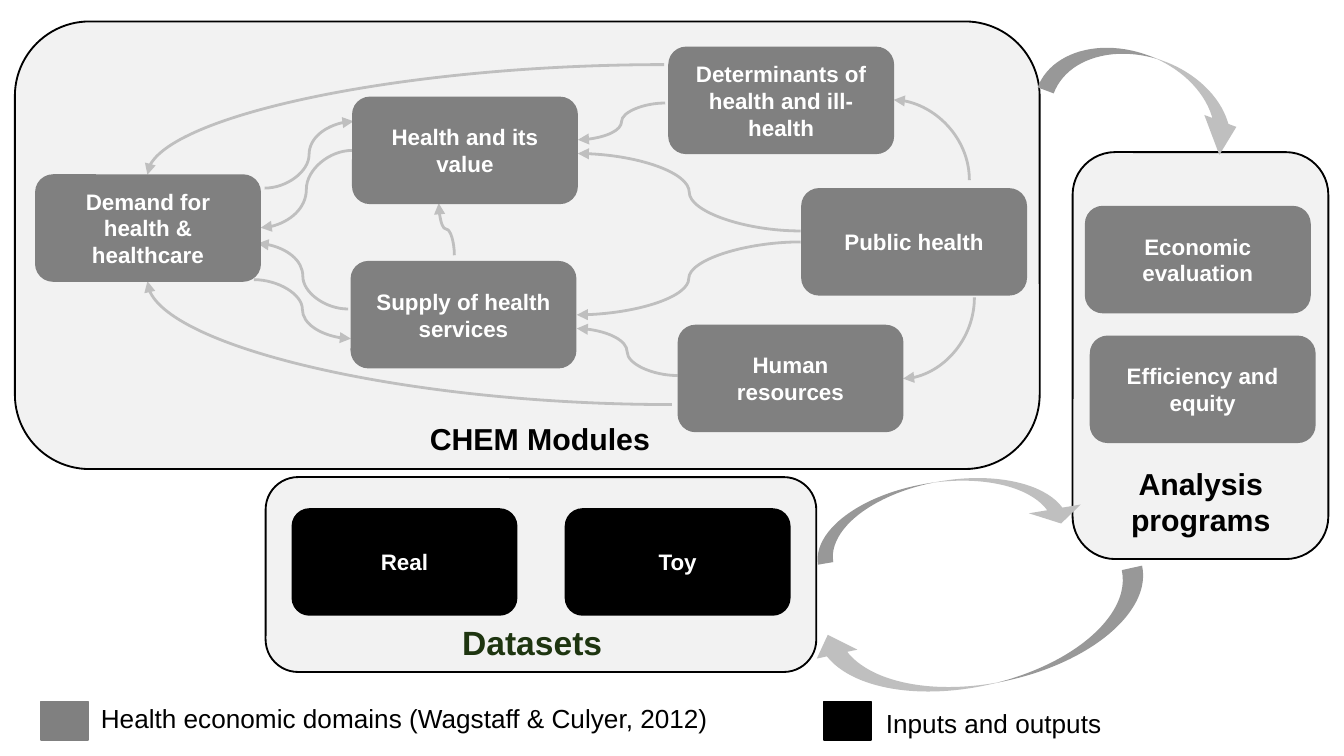
from pptx import Presentation
from pptx.dml.color import RGBColor as RGB
from pptx.enum.shapes import MSO_CONNECTOR as Conn, MSO_SHAPE as Geo
from pptx.enum.text import MSO_ANCHOR as Anchor, MSO_AUTO_SIZE as Fit, PP_ALIGN as Align
from pptx.oxml import parse_xml
from pptx.oxml.ns import nsdecls, qn
from pptx.util import Pt

COLORS = {
    "panel": "F2F2F2",
    "domain": "808080",
    "data": "000000",
    "link": "BFBFBF",
    "ink": "000000",
    "green": "1E3510",
    "white": "FFFFFF",
}


class Board:
    font = "Arial"
    card_w, card_h = 121, 57.6

    def __init__(self, slide):
        self.slide = slide
        self.shapes = slide.shapes

    def color(self, name):
        return RGB.from_string(COLORS[name])

    def shape(self, geo, box, fill, line=None):
        item = self.shapes.add_shape(geo, *map(Pt, box))
        item.shadow.inherit = False
        item.fill.solid()
        item.fill.fore_color.rgb = self.color(fill)
        if line:
            item.line.color.rgb = self.color(line)
            item.line.width = Pt(1)
        else:
            item.line.fill.background()
        return item

    def letter(self, frame, text, size, color, bold, align):
        frame.word_wrap = True
        frame.text = text
        para = frame.paragraphs[0]
        para.alignment = align
        font = para.runs[0].font
        font.name = self.font
        font.size = Pt(size)
        font.bold = bold
        font.color.rgb = self.color(color)

    def panel(self, *box):
        self.shape(Geo.ROUNDED_RECTANGLE, box, "panel", "ink")

    def card(self, text, left, top, fill):
        box = left, top, self.card_w, self.card_h
        item = self.shape(Geo.ROUNDED_RECTANGLE, box, fill)
        item.text_frame.vertical_anchor = Anchor.MIDDLE
        self.letter(item.text_frame, text, 12, "white", True, Align.CENTER)

    def label(self, text, box, size, color="ink", bold=True, align=Align.CENTER):
        item = self.shapes.add_textbox(*map(Pt, box))
        self.letter(item.text_frame, text, size, color, bold, align)
        item.text_frame.auto_size = Fit.SHAPE_TO_FIT_TEXT

    def swatch(self, left, fill):
        self.shape(Geo.RECTANGLE, (left, 375.8, 25.2, 20.9), fill, fill)

    def sweep(self, box, turn, bends):
        item = self.shape(Geo.CURVED_RIGHT_ARROW, box, "link")
        item.rotation = turn
        item._element.spPr.find(qn("a:xfrm")).set("flipH", "1")
        for spot, bend in enumerate(bends):
            item.adjustments[spot] = bend

    def link(self, x1, y1, x2, y2, bend=False, upright=False):
        turn = 0
        if upright:
            down = y2 > y1
            turn = 90 if down else 270
            mid_x, mid_y = (x1 + x2) / 2, (y1 + y2) / 2
            half_w = abs(y2 - y1) / 2
            half_h = (x1 - x2 if down else x2 - x1) / 2
            x1, x2 = mid_x - half_w, mid_x + half_w
            y1, y2 = mid_y - half_h, mid_y + half_h
        item = self.shapes.add_connector(Conn.CURVE, Pt(x1), Pt(y1), Pt(x2), Pt(y2))
        item.line.color.rgb = self.color("link")
        item.line.width = Pt(1.5)
        props = item._element.spPr
        if turn:
            props.find(qn("a:xfrm")).set("rot", str(turn * 60000))
        if bend:
            props.find(qn("a:prstGeom")).set("prst", "curvedConnector2")
        line = props.find(qn("a:ln"))
        line.append(parse_xml(f'<a:tailEnd {nsdecls("a")} type="triangle"/>'))
        props.append(parse_xml(f'<a:effectLst {nsdecls("a")}/>'))


def main():
    deck = Presentation()
    deck.slide_width, deck.slide_height = Pt(720), Pt(405)
    board = Board(deck.slides.add_slide(deck.slide_layouts[6]))

    board.panel(142.3, 255.6, 295, 104.4)
    board.panel(8, 11.5, 549, 239.8)
    board.panel(574.6, 81.5, 137, 218)

    board.label("Datasets", (234.7, 329.8, 100.8, 28.8), 18, "green")
    board.label("CHEM Modules", (223.2, 221.8, 136, 26.6), 16.2, align=Align.LEFT)
    board.label("Analysis programs", (586, 245.5, 114.5, 46.8), 16.2)

    for left, fill in ((22, "domain"), (441.2, "data")):
        board.swatch(left, fill)
    for text, box in (
        ("Health economic domains (Wagstaff & Culyer, 2012)", (46.9, 372.6, 364, 24.5)),
        ("Inputs and outputs", (467.5, 375.6, 178.6, 24.5)),
    ):
        board.label(text, box, 14, bold=False, align=Align.LEFT)

    for ends in (
        (136, 149.8, 188, 181.4),
        (188.6, 80.6, 139.7, 122),
        (429, 129.6, 309, 168.7),
        (429, 123.8, 309.6, 82.3),
        (363, 201.2, 309, 176),
        (356.4, 55.2, 309.6, 74.9),
        (186.5, 165.6, 138, 130.5),
        (141.8, 100.8, 189.4, 65),
    ):
        board.link(*ends)
    board.link(243.4, 136.8, 235, 108.9, upright=True)
    for ends in ((519.3, 96.5, 478.8, 53.5), (522, 159.3, 483.8, 202.8)):
        board.link(*ends, bend=True, upright=True)
    for ends in ((355.8, 34.6, 79, 93.6), (360, 216.8, 79, 150.7)):
        board.link(*ends, bend=True)

    for text, left, top, fill in (
        ("Determinants of health and ill-health", 358, 25, "domain"),
        ("Demand for health & healthcare", 18.8, 93.4, "domain"),
        ("Supply of health services", 187.8, 139.8, "domain"),
        ("Public health", 429.2, 100.8, "domain"),
        ("Health and its value", 188.6, 51.8, "domain"),
        ("Human resources", 363, 174, "domain"),
        ("Economic evaluation", 581.2, 110.3, "domain"),
        ("Efficiency and equity", 583.8, 179.8, "domain"),
        ("Real", 156.2, 272.3, "data"),
        ("Toy", 302.5, 272.3, "data"),
    ):
        board.card(text, left, top, fill)

    for box, turn, bends in (
        ((596.9, -7.2, 36.7, 113), 290.4, (0.25, 0.5, 0.47)),
        ((491, 200.9, 33.1, 146.2), 260.4, (0.25, 0.85, 0.25)),
        ((504.7, 252.7, 44.6, 183.6), 77.6, (0.25, 0.5, 0.25)),
    ):
        board.sweep(box, turn, bends)

    deck.save("out.pptx")


if __name__ == "__main__":
    main()
